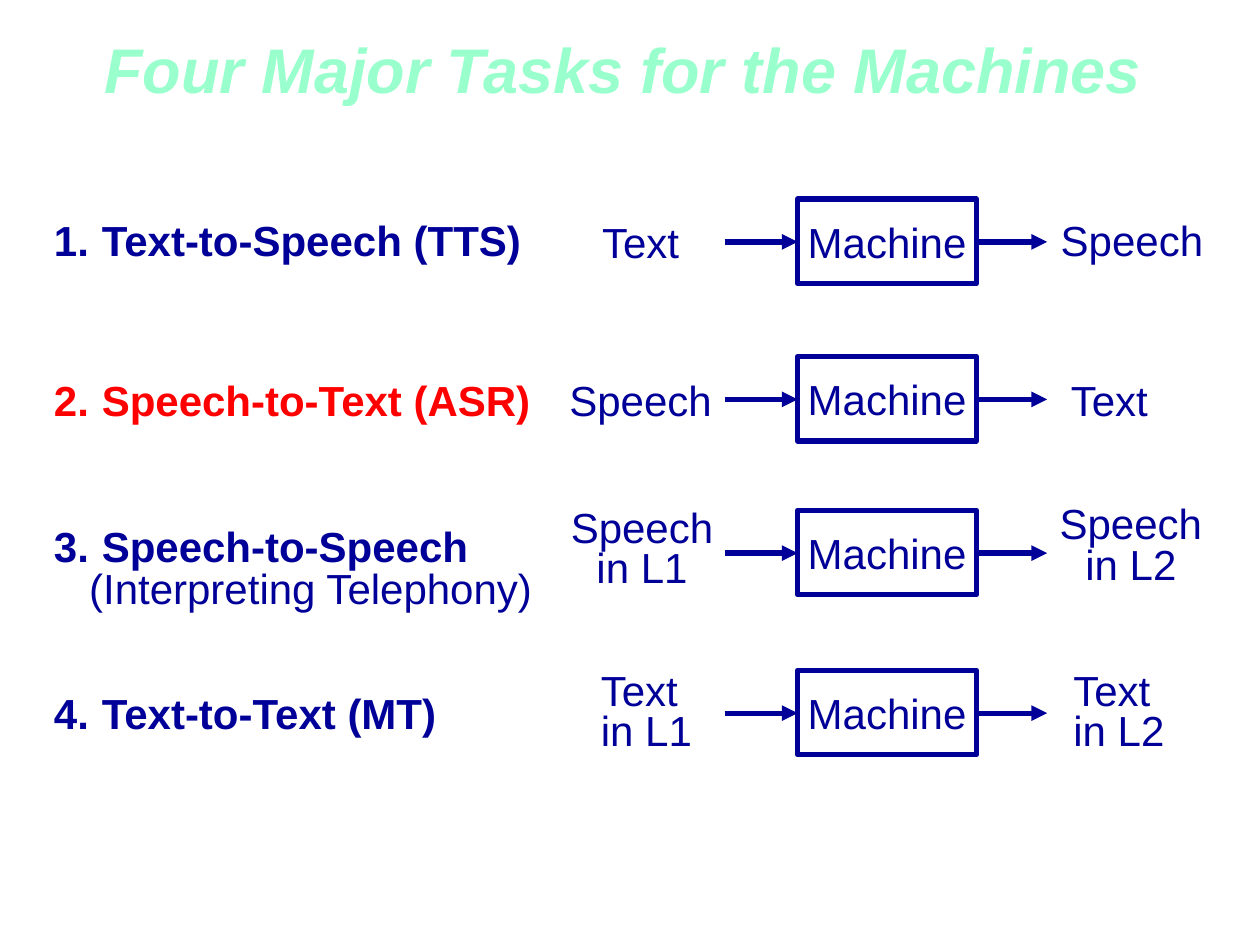
from lxml import etree
from pptx import Presentation
from pptx.dml.color import RGBColor
from pptx.enum.shapes import MSO_CONNECTOR, MSO_SHAPE
from pptx.enum.text import MSO_ANCHOR, PP_ALIGN
from pptx.oxml.ns import qn
from pptx.util import Pt

LEFT, CENTER = PP_ALIGN.LEFT, PP_ALIGN.CENTER
MIDDLE = MSO_ANCHOR.MIDDLE
RECT, STRAIGHT = MSO_SHAPE.RECTANGLE, MSO_CONNECTOR.STRAIGHT

PX = 9144  # 100 px to the inch
COLORS = {"title": "99FFCC", "ink": "000099", "accent": "FF0000", "paper": "FFFFFF"}

# Columns shared by every task row
ITEM_X, ITEM_W = 33, 417
BOX_X, BOX_W, BOX_H = 633, 142, 67
ARROWS = [(575, 633), (773, 831)]


def rgb(name):
    return RGBColor.from_string(COLORS[name])


def write(p, text, size=24, color="ink", bold=False, italic=False, align=LEFT, spacing=1.0):
    p.alignment = align
    p.line_spacing = spacing
    r = p.add_run()
    r.text = text
    f = r.font
    f.name, f.size, f.bold, f.italic = "Arial", Pt(size), bold, italic
    f.color.rgb = rgb(color)


def indent(p, left, hanging=0, number=None):
    pPr = p._p.get_or_add_pPr()
    pPr.set("marL", str(left * PX))
    pPr.set("indent", str(-hanging * PX))
    if number:
        etree.SubElement(pPr, qn("a:buFont"), typeface="+mj-lt")
        etree.SubElement(pPr, qn("a:buAutoNum"), type="arabicPeriod", startAt=str(number))


class Deck:
    def __init__(self, width, height):
        self.prs = Presentation()
        self.prs.slide_width, self.prs.slide_height = width * PX, height * PX
        self.s = self.prs.slides.add_slide(self.prs.slide_layouts[5])

    def title(self, text, x, y, w, h):
        sp = self.s.shapes.title
        sp.left, sp.top, sp.width, sp.height = (v * PX for v in (x, y, w, h))
        tf = sp.text_frame
        tf.vertical_anchor = MIDDLE
        tf.margin_right = 21 * PX
        write(tf.paragraphs[0], text, size=36, color="title", bold=True, italic=True, align=CENTER)

    def text_box(self, x, y, w, h, count):
        sp = self.s.shapes.add_textbox(x * PX, y * PX, w * PX, h * PX)
        tf = sp.text_frame
        tf.word_wrap = True
        for _ in range(count - 1):
            tf.add_paragraph()
        return tf.paragraphs

    def item(self, number, y, text, note=None, color="ink"):
        spacing = 0.85 if note else 1.0
        ps = self.text_box(ITEM_X, y, ITEM_W, 90 if note else 50, 2 if note else 1)
        indent(ps[0], 38, 38, number)
        write(ps[0], text, color=color, bold=True, spacing=spacing)
        if note:
            indent(ps[1], 28)
            write(ps[1], note, spacing=spacing)

    def label(self, x, y, lines, align=LEFT):
        two = len(lines) > 1
        ps = self.text_box(x, y, 135, 74 if two else 50, len(lines))
        for p, line in zip(ps, lines):
            write(p, line, align=align, spacing=0.8 if two else 1.0)

    def box(self, text, x, y, w, h):
        sp = self.s.shapes.add_shape(RECT, x * PX, y * PX, w * PX, h * PX)
        sp.shadow.inherit = False
        sp.fill.solid()
        sp.fill.fore_color.rgb = rgb("paper")
        sp.line.color.rgb = rgb("ink")
        sp.line.width = Pt(3)
        tf = sp.text_frame
        tf.word_wrap = False
        tf.vertical_anchor = MIDDLE
        write(tf.paragraphs[0], text, align=CENTER)

    def arrow(self, x1, x2, y):
        sp = self.s.shapes.add_connector(STRAIGHT, x1 * PX, y * PX, x2 * PX, y * PX)
        sp.line.color.rgb = rgb("ink")
        sp.line.width = Pt(3)
        etree.SubElement(sp.line._get_or_add_ln(), qn("a:tailEnd"), type="triangle")
        etree.SubElement(sp._element.spPr, qn("a:effectLst"))


# Each task: machine top, item (y and text), input and output labels (x, y, lines)
TASKS = [
    (158, dict(y=165, text="Text-to-Speech (TTS)"),
     (468, 167, ["Text"]), (832, 165, ["Speech"])),
    (283, dict(y=292, text="Speech-to-Text (ASR)", color="accent"),
     (442, 292, ["Speech"]), (840, 292, ["Text"])),
    (405, dict(y=414, text="Speech-to-Speech", note="(Interpreting Telephony)"),
     (442, 401, ["Speech", "in L1"], CENTER), (830, 398, ["Speech", "in L2"], CENTER)),
    (532, dict(y=541, text="Text-to-Text (MT)"),
     (467, 530, ["Text", "in L1"]), (842, 530, ["Text", "in L2"])),
]


def main():
    deck = Deck(1000, 750)
    deck.title("Four Major Tasks for the Machines", 0, 0, 1000, 108)

    # One row per task: item, input, machine, output
    for number, (top, item, source, target) in enumerate(TASKS, 1):
        deck.item(number, **item)
        deck.label(*source)
        deck.box("Machine", BOX_X, top, BOX_W, BOX_H)
        for x1, x2 in ARROWS:
            deck.arrow(x1, x2, top + BOX_H // 2 + 1)
        deck.label(*target)

    deck.prs.save("out.pptx")


if __name__ == "__main__":
    main()
